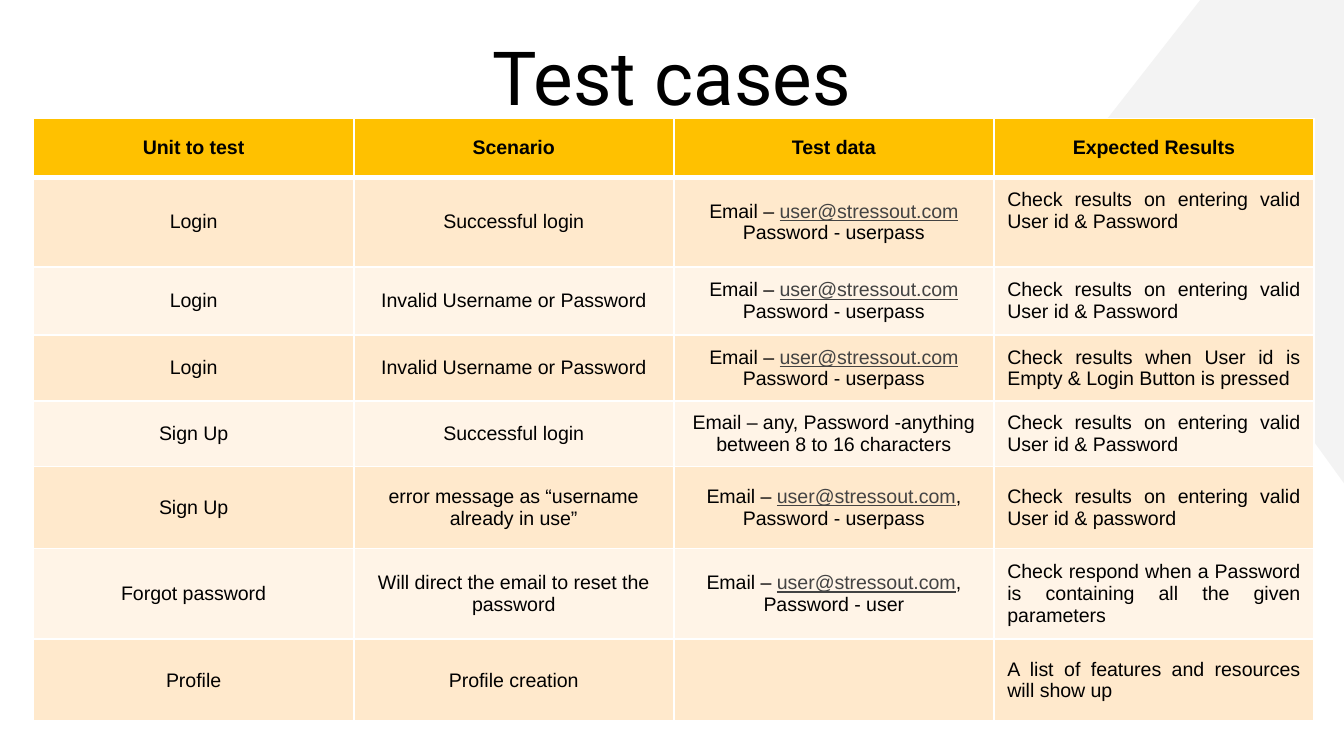
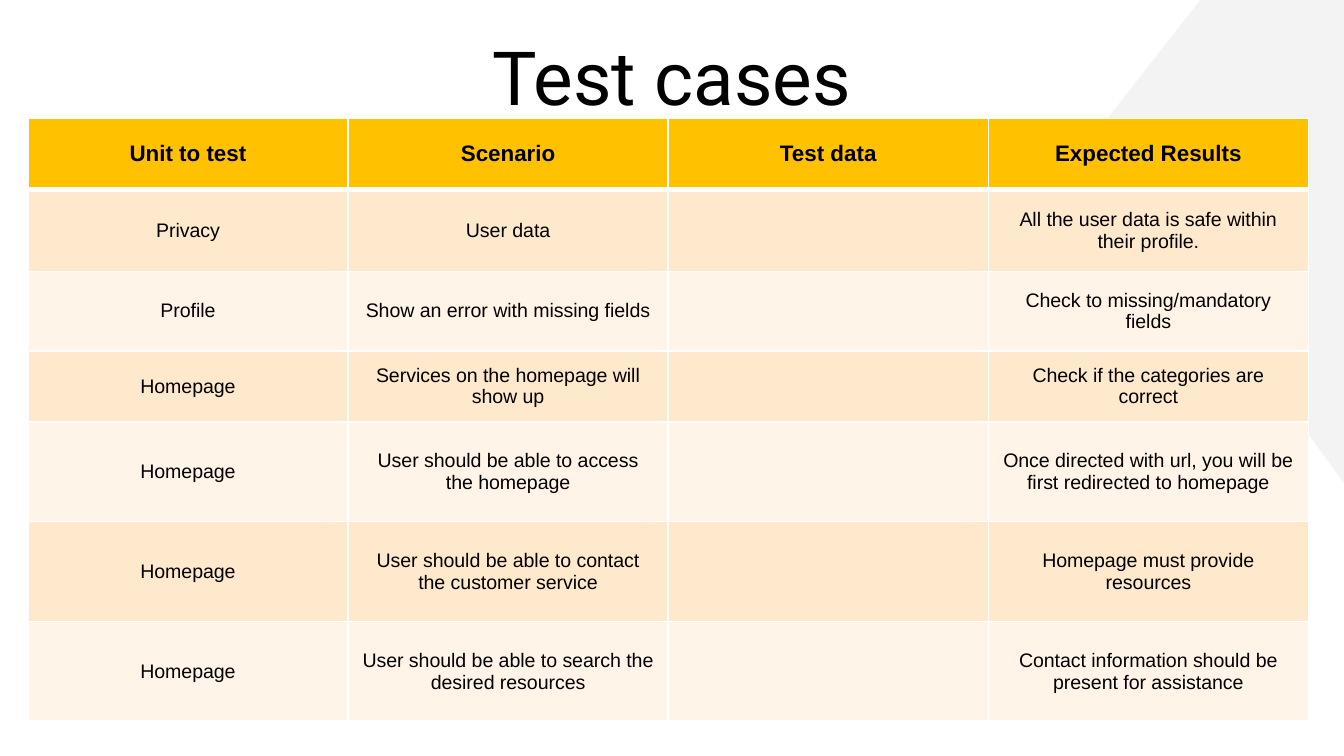
from dataclasses import dataclass
from typing import Any

from lxml.etree import SubElement
from pptx import Presentation
from pptx.dml.color import RGBColor
from pptx.enum.shapes import MSO_SHAPE
from pptx.enum.text import MSO_ANCHOR, PP_ALIGN
from pptx.oxml.ns import qn
from pptx.slide import Slide
from pptx.table import _Cell
from pptx.text.text import _Paragraph
from pptx.util import Length, Pt

WHITE = RGBColor(0xFF, 0xFF, 0xFF)
BLACK = RGBColor(0x00, 0x00, 0x00)
LINK_GRAY = RGBColor(0x43, 0x43, 0x43)
CORNER_GRAY = RGBColor(0xF3, 0xF3, 0xF3)
HEADER_GOLD = RGBColor(0xFF, 0xC1, 0x00)
BAND_FILLS = (RGBColor(0xFF, 0xE9, 0xCC), RGBColor(0xFF, 0xF4, 0xE7))

TITLE = "Test cases"
HEADINGS = ("Unit to test", "Scenario", "Test data", "Expected Results")
EMAIL = "user@stressout.com"
LOGIN_DATA = f"Email – {EMAIL} Password - userpass"
VALID_CHECK = "Check results on entering valid User id & Password"

TABLE_TOP = Pt(63.5)
COLUMN_WIDTH = Pt(171.5)
THIN_BORDER = Pt(1)
THICK_BORDER = Pt(3)
TITLE_INSET = Pt(7.2)
RAISED_MARGIN = Pt(15.6)

TITLE_FONT = {"name": "Roboto", "size": Pt(40)}
BODY_FONT = {"name": "Arial", "size": Pt(10.5), "bold": False}
LINK_FONT = BODY_FONT | {"underline": True}
TITLE_FRAME = {
    "word_wrap": True,
    "vertical_anchor": MSO_ANCHOR.MIDDLE,
    "margin_left": TITLE_INSET,
    "margin_top": TITLE_INSET,
    "margin_right": TITLE_INSET,
    "margin_bottom": TITLE_INSET,
}


@dataclass(frozen=True)
class TestTable:
    """One slide's table of test cases."""

    left: Length
    header_size: Length
    result_alignment: PP_ALIGN
    row_heights: tuple[float, ...]
    rows: tuple[tuple[str, str, str, str], ...]
    raised_cells: tuple[tuple[int, int], ...] = ()


TEST_TABLES = (
    TestTable(
        left=Pt(18),
        header_size=Pt(10.5),
        result_alignment=PP_ALIGN.JUSTIFY,
        row_heights=(31.5, 48, 36.5, 35.5, 35, 44, 48.5, 44),
        rows=(
            ("Login", "Successful login", LOGIN_DATA, VALID_CHECK),
            ("Login", "Invalid Username or Password", LOGIN_DATA, VALID_CHECK),
            ("Login", "Invalid Username or Password", LOGIN_DATA,
             "Check results when User id is Empty & Login Button is pressed"),
            ("Sign Up", "Successful login",
             "Email – any, Password -anything between 8 to 16 characters",
             VALID_CHECK),
            ("Sign Up", "error message as “username already in use”",
             f"Email – {EMAIL}, Password - userpass",
             "Check results on entering valid User id & password"),
            ("Forgot password", "Will direct the email to reset the password",
             f"Email – {EMAIL}, Password - user",
             "Check respond when a Password is containing all the given parameters"),
            ("Profile", "Profile creation", "",
             "A list of features and resources will show up"),
        ),
        raised_cells=((1, 3),),
    ),
    TestTable(
        left=Pt(15),
        header_size=Pt(12),
        result_alignment=PP_ALIGN.CENTER,
        row_heights=(38, 44, 42.5, 38, 53.5, 53.5, 53.5),
        rows=(
            ("Privacy", "User data", "",
             "All the user data is safe within their profile."),
            ("Profile", "Show an error with missing fields", "",
             "Check to missing/mandatory fields"),
            ("Homepage", "Services on the homepage will show up", "",
             "Check if the categories are correct"),
            ("Homepage", "User should be able to access the homepage", "",
             "Once directed with url, you will be first redirected to homepage"),
            ("Homepage", "User should be able to contact the customer service", "",
             "Homepage must provide resources"),
            ("Homepage", "User should be able to search the desired resources", "",
             "Contact information should be present for assistance"),
        ),
    ),
)


def apply_format(target: Any, values: dict[str, Any]) -> None:
    """Set each named attribute on the target."""
    for name, value in values.items():
        setattr(target, name, value)


def add_run(paragraph: _Paragraph, text: str, font: dict[str, Any],
            color: RGBColor = BLACK) -> None:
    """Append formatted text to a paragraph."""
    run = paragraph.add_run()
    run.text = text
    apply_format(run.font, font)
    run.font.color.rgb = color


def add_corner(slide: Slide) -> None:
    """Draw the gray triangle in the upper right corner."""
    corner = slide.shapes.add_shape(
        MSO_SHAPE.ISOSCELES_TRIANGLE, Pt(474), Pt(13), Pt(358), Pt(134.5))
    corner.adjustments[0] = 0.52
    corner.rotation = 270
    corner.shadow.inherit = False
    corner.fill.solid()
    corner.fill.fore_color.rgb = CORNER_GRAY
    corner.line.fill.background()


def add_title(slide: Slide, text: str) -> None:
    """Write the centred slide title."""
    title = slide.shapes.add_textbox(Pt(41), Pt(18), Pt(638), Pt(45.5))
    apply_format(title.text_frame, TITLE_FRAME)
    paragraph = title.text_frame.paragraphs[0]
    paragraph.alignment = PP_ALIGN.CENTER
    add_run(paragraph, text, TITLE_FONT)


def set_borders(cell: _Cell, top: Length, bottom: Length) -> None:
    """Give a cell white borders with the given top and bottom widths."""
    properties = cell._tc.get_or_add_tcPr()
    widths = {"lnL": THIN_BORDER, "lnR": THIN_BORDER, "lnT": top, "lnB": bottom}
    for tag, width in widths.items():
        line = SubElement(properties, qn(f"a:{tag}"), w=str(int(width)))
        fill = SubElement(line, qn("a:solidFill"))
        SubElement(fill, qn("a:srgbClr"), val=str(WHITE))


def fill_cell(cell: _Cell, text: str, fill: RGBColor, alignment: PP_ALIGN,
              font: dict[str, Any]) -> None:
    """Fill a cell and write its text, with the e-mail address underlined."""
    cell.fill.solid()
    cell.fill.fore_color.rgb = fill
    cell.vertical_anchor = MSO_ANCHOR.MIDDLE
    paragraph = cell.text_frame.paragraphs[0]
    paragraph.alignment = alignment
    before, email, after = text.partition(EMAIL)
    parts = ((before, font, BLACK), (email, LINK_FONT, LINK_GRAY), (after, font, BLACK))
    for part, part_font, color in parts:
        if part:
            add_run(paragraph, part, part_font, color)


def add_test_table(slide: Slide, test_table: TestTable) -> None:
    """Draw a header row and banded rows of test cases."""
    contents = (HEADINGS, *test_table.rows)
    column_count = len(HEADINGS)
    table = slide.shapes.add_table(
        len(contents), column_count, test_table.left, TABLE_TOP,
        COLUMN_WIDTH * column_count, Pt(sum(test_table.row_heights))).table
    table.horz_banding = False
    for column in table.columns:
        column.width = COLUMN_WIDTH
    for row, height in zip(table.rows, test_table.row_heights):
        row.height = Pt(height)
    header_font = BODY_FONT | {"size": test_table.header_size, "bold": True}
    for row_index, texts in enumerate(contents):
        is_header = row_index == 0
        fill = HEADER_GOLD if is_header else BAND_FILLS[(row_index - 1) % 2]
        font = header_font if is_header else BODY_FONT
        top = THICK_BORDER if row_index == 1 else THIN_BORDER
        bottom = THICK_BORDER if is_header else THIN_BORDER
        for column_index, text in enumerate(texts):
            cell = table.cell(row_index, column_index)
            is_result = column_index == column_count - 1 and not is_header
            alignment = test_table.result_alignment if is_result else PP_ALIGN.CENTER
            set_borders(cell, top, bottom)
            fill_cell(cell, text, fill, alignment, font)
    for row_index, column_index in test_table.raised_cells:
        table.cell(row_index, column_index).margin_bottom = RAISED_MARGIN


def main() -> None:
    """Build and save the test case slides."""
    presentation = Presentation()
    presentation.slide_width = Pt(720)
    presentation.slide_height = Pt(405)
    for test_table in TEST_TABLES:
        slide = presentation.slides.add_slide(presentation.slide_layouts[6])
        slide.background.fill.solid()
        slide.background.fill.fore_color.rgb = WHITE
        add_corner(slide)
        add_title(slide, TITLE)
        add_test_table(slide, test_table)
    presentation.save("out.pptx")


if __name__ == "__main__":
    main()
